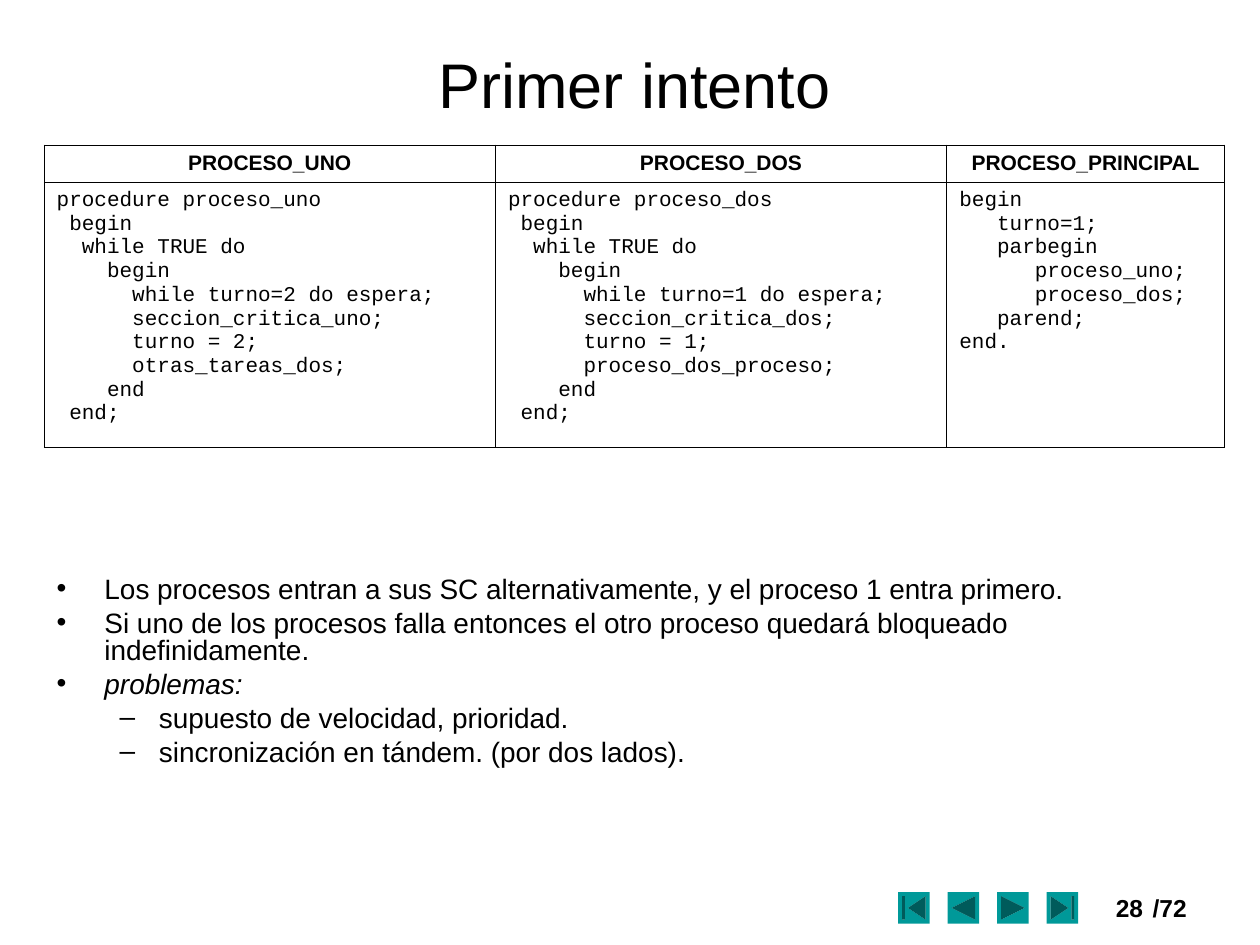
from lxml.etree import SubElement
from pptx import Presentation
from pptx.dml.color import RGBColor
from pptx.enum.shapes import MSO_SHAPE
from pptx.enum.text import MSO_ANCHOR, PP_ALIGN
from pptx.oxml.ns import qn
from pptx.util import Pt

COLORS = {"ink": "000000", "paper": "FFFFFF", "button": "009999"}
TITLE = {"name": "Arial", "size": Pt(36)}
BODY = {"name": "Arial", "size": Pt(16)}
FOOTER = {"name": "Arial", "size": Pt(14), "bold": True}
HEADING = {"name": "Arial", "size": Pt(12), "bold": True}
CODE = {"name": "Courier New", "size": Pt(12), "bold": False}

MARGIN = 25.2
COLUMN_WIDTHS = [257.9, 257.9, 158.8]
ROW_HEIGHTS = [21.6, 151.2]
BORDER_WIDTH = 0.45

PROCESSES = [
    ("PROCESO_UNO", PP_ALIGN.JUSTIFY, """procedure proceso_uno
 begin
  while TRUE do
    begin
      while turno=2 do espera;
      seccion_critica_uno;
      turno = 2;
      otras_tareas_dos;
    end
 end;"""),
    ("PROCESO_DOS", PP_ALIGN.JUSTIFY, """procedure proceso_dos
 begin
  while TRUE do
    begin
      while turno=1 do espera;
      seccion_critica_dos;
      turno = 1;
      proceso_dos_proceso;
    end
 end;"""),
    ("PROCESO_PRINCIPAL", PP_ALIGN.LEFT, """begin
   turno=1;
   parbegin
      proceso_uno;
      proceso_dos;
   parend;
end."""),
]

LEVELS = [
    {"mark": "•", "left": 27.4, "hanging": 27.4},
    {"mark": "–", "left": 58.5, "hanging": 22.5},
]
POINTS = [
    (0, "Los procesos entran a sus SC alternativamente, y el proceso 1 entra primero.", {}),
    (0, "Si uno de los procesos falla entonces el otro proceso quedará bloqueado indefinidamente.", {}),
    (0, "problemas:", {"italic": True}),
    (1, "supuesto de velocidad, prioridad.", {}),
    (1, "sincronización en tándem. (por dos lados).", {}),
]

NAVIGATION = [
    MSO_SHAPE.ACTION_BUTTON_BEGINNING,
    MSO_SHAPE.ACTION_BUTTON_BACK_OR_PREVIOUS,
    MSO_SHAPE.ACTION_BUTTON_FORWARD_OR_NEXT,
    MSO_SHAPE.ACTION_BUTTON_END,
]


def color(name):
    return RGBColor.from_string(COLORS[name])


def set_values(target, values):
    for name, value in values.items():
        setattr(target, name, value)


def add_span(para, text, style):
    span = para.add_run()
    span.text = text
    set_values(span.font, style)
    span.font.color.rgb = color("ink")


def add_paragraphs(frame, count):
    return [frame.paragraphs[0]] + [frame.add_paragraph() for _ in range(count - 1)]


def add_box(page, left, top, width, height, values):
    box = page.shapes.add_textbox(Pt(left), Pt(top), Pt(width), Pt(height))
    box.text_frame.word_wrap = True
    set_values(box.text_frame, values)
    return box.text_frame


def add_label(page, bounds, text, style, align, values):
    para = add_box(page, *bounds, values).paragraphs[0]
    para.alignment = align
    add_span(para, text, style)


def set_bullet(para, level):
    properties = para._p.get_or_add_pPr()
    properties.set("marL", str(Pt(level["left"])))
    properties.set("indent", str(-Pt(level["hanging"])))
    bullet_color = SubElement(properties, qn("a:buClr"))
    SubElement(bullet_color, qn("a:srgbClr"), val=COLORS["ink"])
    SubElement(properties, qn("a:buFont"), typeface="Arial")
    SubElement(properties, qn("a:buChar"), char=level["mark"])


def add_points(page):
    frame = add_box(page, MARGIN, 326.9, 663, 164, {})
    for index, (para, (depth, text, extra)) in enumerate(
        zip(add_paragraphs(frame, len(POINTS)), POINTS)
    ):
        set_bullet(para, LEVELS[depth])
        set_values(para, {"level": depth, "line_spacing": 0.8,
                          "space_before": Pt(4 if index else 0)})
        add_span(para, text, BODY | extra)


def set_borders(cell):
    properties = cell._tc.get_or_add_tcPr()
    for position, side in enumerate(("lnL", "lnR", "lnT", "lnB")):
        line = SubElement(properties, qn(f"a:{side}"), w=str(Pt(BORDER_WIDTH)))
        fill = SubElement(line, qn("a:solidFill"))
        SubElement(fill, qn("a:srgbClr"), val=COLORS["ink"])
        properties.insert(position, line)


def fill_cell(cell, lines, style, align):
    cell.fill.solid()
    cell.fill.fore_color.rgb = color("paper")
    set_borders(cell)
    for para, text in zip(add_paragraphs(cell.text_frame, len(lines)), lines):
        para.alignment = align
        add_span(para, text, style)


def add_process_table(page):
    table = page.shapes.add_table(
        len(ROW_HEIGHTS), len(COLUMN_WIDTHS), Pt(MARGIN), Pt(82.8),
        Pt(sum(COLUMN_WIDTHS)), Pt(sum(ROW_HEIGHTS)),
    ).table
    set_values(table, {"first_row": False, "horz_banding": False})
    for row, height in zip(table.rows, ROW_HEIGHTS):
        row.height = Pt(height)
    for index, (heading, align, code) in enumerate(PROCESSES):
        table.columns[index].width = Pt(COLUMN_WIDTHS[index])
        fill_cell(table.cell(0, index), [heading], HEADING, PP_ALIGN.CENTER)
        fill_cell(table.cell(1, index), code.split("\n"), CODE, align)


def add_navigation(page):
    for index, kind in enumerate(NAVIGATION):
        button = page.shapes.add_shape(
            kind, Pt(513.2 + 28.3 * index), Pt(509.8), Pt(18), Pt(18)
        )
        button.shadow.inherit = False
        button.fill.solid()
        button.fill.fore_color.rgb = color("button")
        button.line.fill.background()


def main():
    deck = Presentation()
    set_values(deck, {"slide_width": Pt(720), "slide_height": Pt(540)})
    page = deck.slides.add_slide(deck.slide_layouts[6])
    add_label(page, (621.4, 506.9, 38.9, 23.8), "28", FOOTER, PP_ALIGN.RIGHT, {})
    add_navigation(page)
    add_label(page, (651.6, 506.9, 37.4, 23.8), "/72", FOOTER, PP_ALIGN.LEFT, {})
    title_values = {f"margin_{side}": Pt(1.4) for side in ("left", "top", "right", "bottom")}
    title_values["vertical_anchor"] = MSO_ANCHOR.MIDDLE
    add_label(page, (MARGIN, 24.5, 674.6, 46), "Primer intento", TITLE,
              PP_ALIGN.CENTER, title_values)
    add_points(page)
    add_process_table(page)
    deck.save("out.pptx")


if __name__ == "__main__":
    main()
